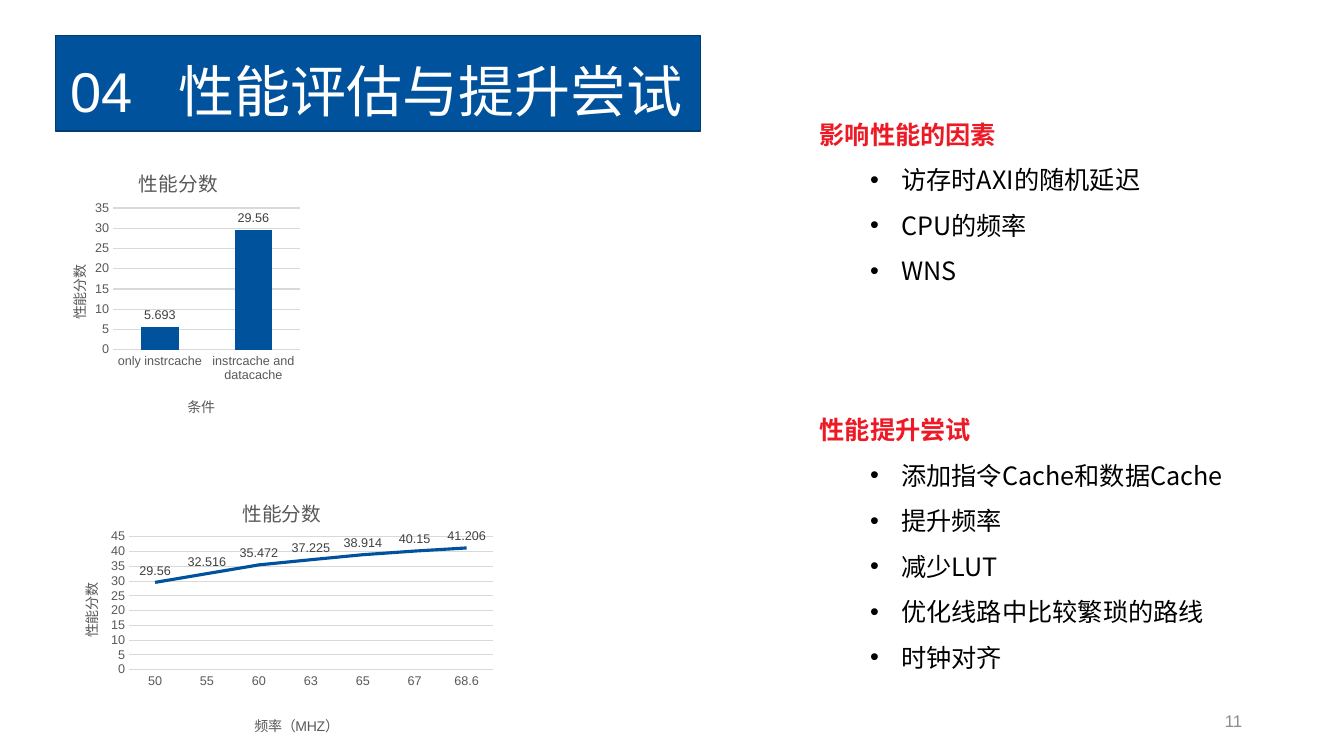
from lxml import etree
from pptx import Presentation
from pptx import util as u
from pptx.chart.data import CategoryChartData
from pptx.dml.color import RGBColor
from pptx.enum import chart as ch, text
from pptx.oxml.ns import qn

BLUE = RGBColor(0x00, 0x52, 0x9C)
NAVY = RGBColor(0x00, 0x3D, 0x73)
RED = RGBColor(0xED, 0x19, 0x25)
WHITE = RGBColor(0xFF, 0xFF, 0xFF)
BLACK = RGBColor(0x00, 0x00, 0x00)
GREY = RGBColor(0x59, 0x59, 0x59)
LABEL = RGBColor(0x40, 0x40, 0x40)
PALE = RGBColor(0xD9, 0xD9, 0xD9)
NUMBER = RGBColor(0x8C, 0x8C, 0x8C)
LATIN, CJK = "Arial", "Noto Sans CJK SC"


def add_run(p, words, size, color, font=LATIN, bold=False):
    r = p.add_run()
    r.text = words
    r.font.size, r.font.bold, r.font.name = u.Pt(size), bold, font
    r.font.color.rgb = color
    etree.SubElement(r.font._element, qn("a:ea"), typeface=CJK)


def place(element, index, **shares):
    """Lay out a chart part by shares of the chart's size."""
    for old in element.findall(qn("c:layout")):
        element.remove(old)
    layout = etree.Element(qn("c:layout"))
    manual = etree.SubElement(layout, qn("c:manualLayout"))
    if "w" in shares:
        etree.SubElement(manual, qn("c:layoutTarget"), val="inner")
    for side in "xy":
        etree.SubElement(manual, qn(f"c:{side}Mode"), val="edge")
    for side, share in shares.items():
        etree.SubElement(manual, qn(f"c:{side}"), val=str(share))
    element.insert(index, layout)


prs = Presentation()
prs.slide_width, prs.slide_height = u.Inches(13.33), u.Inches(7.5)
s = prs.slides.add_slide(prs.slide_layouts[3])

# Title band, with a tab stop between number and heading
sp = s.shapes.title
sp.left, sp.top, sp.width, sp.height = map(u.Inches, (0.55, 0.35, 6.4, 0.95))
sp.fill.solid()
sp.fill.fore_color.rgb = BLUE
sp.line.color.rgb, sp.line.width = NAVY, u.Pt(1)
tf = sp.text_frame
tf.auto_size, tf.word_wrap = text.MSO_AUTO_SIZE.NONE, False
tf.vertical_anchor = text.MSO_ANCHOR.MIDDLE
tf.margin_left, tf.margin_right = u.Inches(0.15), 0
p = tf.paragraphs[0]
p.alignment, p.line_spacing = text.PP_ALIGN.LEFT, 1.2
tabs = etree.SubElement(p._p.get_or_add_pPr(), qn("a:tabLst"))
etree.SubElement(tabs, qn("a:tab"), pos=str(u.Inches(1.07)), algn="l")
add_run(p, "04\t性能评估与提升尝试", 40, WHITE)

# Two lists, each under a red heading
lists = [
    (1, 0.98, 4.88, 2.22, "影响性能的因素",
     ["访存时AXI的随机延迟", "CPU的频率", "WNS"]),
    (2, 3.91, 4.56, 2.77, "性能提升尝试",
     ["添加指令Cache和数据Cache", "提升频率", "减少LUT",
      "优化线路中比较繁琐的路线", "时钟对齐"]),
]
for idx, top, width, height, heading, items in lists:
    sp = s.placeholders[idx]
    sp.left, sp.top, sp.width, sp.height = map(u.Inches, (8.03, top, width, height))
    tf = sp.text_frame
    tf.auto_size, tf.word_wrap = text.MSO_AUTO_SIZE.NONE, True
    for i, words in enumerate([heading] + items):
        p = tf.add_paragraph() if i else tf.paragraphs[0]
        p.level = 1 if i else 0
        p.line_spacing, p.space_before = u.Pt(32.5), u.Pt(0)
        pPr = p._p.get_or_add_pPr()
        pPr.set("marL", str(u.Inches(0.81) if i else 0))
        pPr.set("indent", str(u.Inches(-0.31) if i else 0))
        if i:
            etree.SubElement(pPr, qn("a:buFont"), typeface=LATIN)
            etree.SubElement(pPr, qn("a:buChar"), char="•")
        else:
            etree.SubElement(pPr, qn("a:buNone"))
        add_run(p, words, 18, BLACK if i else RED, CJK, bold=not i)

# Line chart by frequency, column chart by cache setup
charts = [
    dict(kind=ch.XL_CHART_TYPE.LINE, at=(0.55, 4.7, 4.43, 2.65), top=45,
         cats=["50", "55", "60", "63", "65", "67", "68.6"],
         vals=[29.56, 32.516, 35.472, 37.225, 38.914, 40.15, 41.206],
         labels=ch.XL_LABEL_POSITION.ABOVE, x_title="频率（MHZ）",
         plot=(0.165, 0.236, 0.814, 0.498),
         titles=[(0.41, 0.07), (0.44, 0.89), (0.05, 0.4)]),
    dict(kind=ch.XL_CHART_TYPE.COLUMN_CLUSTERED, at=(0.43, 1.43, 2.6, 2.87), top=35,
         cats=["only instrcache", "instrcache and datacache"],
         vals=[5.693, 29.56],
         labels=ch.XL_LABEL_POSITION.OUTSIDE_END, x_title="条件",
         plot=(0.266, 0.221, 0.714, 0.49),
         titles=[(0.35, 0.065), (0.54, 0.86), (0.085, 0.41)]),
]
for spec_row in charts:
    data = CategoryChartData()
    data.categories = spec_row["cats"]
    data.add_series("Series 1", spec_row["vals"])
    chart = s.shapes.add_chart(
        spec_row["kind"], *map(u.Inches, spec_row["at"]), data).chart
    chart.font.name, chart.font.size = LATIN, u.Pt(10)
    chart.font.color.rgb = BLACK
    chart.has_legend = False
    chart.has_title = True
    x_axis, y_axis = chart.category_axis, chart.value_axis
    x_axis.has_title = y_axis.has_title = True

    # Axes and grid
    for axis in (x_axis, y_axis):
        axis.major_tick_mark = axis.minor_tick_mark = ch.XL_TICK_MARK.NONE
        font = axis.tick_labels.font
        font.name, font.size = LATIN, u.Pt(9)
        font.color.rgb = GREY
    y_axis.minimum_scale, y_axis.maximum_scale = 0, spec_row["top"]
    y_axis.major_unit = 5
    y_axis.format.line.fill.background()
    y_axis.has_major_gridlines = True
    for line in (x_axis.format.line, y_axis.major_gridlines.format.line):
        line.color.rgb, line.width = PALE, u.Pt(0.75)

    # Titles and plot area
    heads = [(chart.chart_title, "性能分数", 14),
             (x_axis.axis_title, spec_row["x_title"], 10),
             (y_axis.axis_title, "性能分数", 10)]
    for (head, words, size), (x, y) in zip(heads, spec_row["titles"]):
        add_run(head.text_frame.paragraphs[0], words, size, GREY)
        place(head._element, 1, x=x, y=y)
    body = y_axis.axis_title.text_frame._txBody.find(qn("a:bodyPr"))
    body.set("rot", "-5400000")
    body.set("vert", "horz")
    plot = chart.plots[0]
    place(chart._chartSpace.chart.plotArea, 0, **dict(zip("xywh", spec_row["plot"])))

    # Series and value labels
    plot.vary_by_categories = False
    series = plot.series[0]
    if spec_row["kind"] == ch.XL_CHART_TYPE.LINE:
        series.smooth = False
        series.marker.style = ch.XL_MARKER_STYLE.NONE
        series.format.line.color.rgb = BLUE
        series.format.line.width = u.Pt(2.25)
    else:
        plot.gap_width = 150
        series.format.fill.solid()
        series.format.fill.fore_color.rgb = BLUE
    labels = series.data_labels
    labels.show_value, labels.position = True, spec_row["labels"]
    labels.font.name, labels.font.size = LATIN, u.Pt(9)
    labels.font.color.rgb = LABEL

# Slide number
sp = s.shapes.add_textbox(*map(u.Inches, (9.42, 6.95, 3, 0.4)))
tf = sp.text_frame
tf.word_wrap, tf.vertical_anchor = True, text.MSO_ANCHOR.MIDDLE
tf.paragraphs[0].alignment = text.PP_ALIGN.RIGHT
add_run(tf.paragraphs[0], "11", 12, NUMBER)

prs.save("out.pptx")
